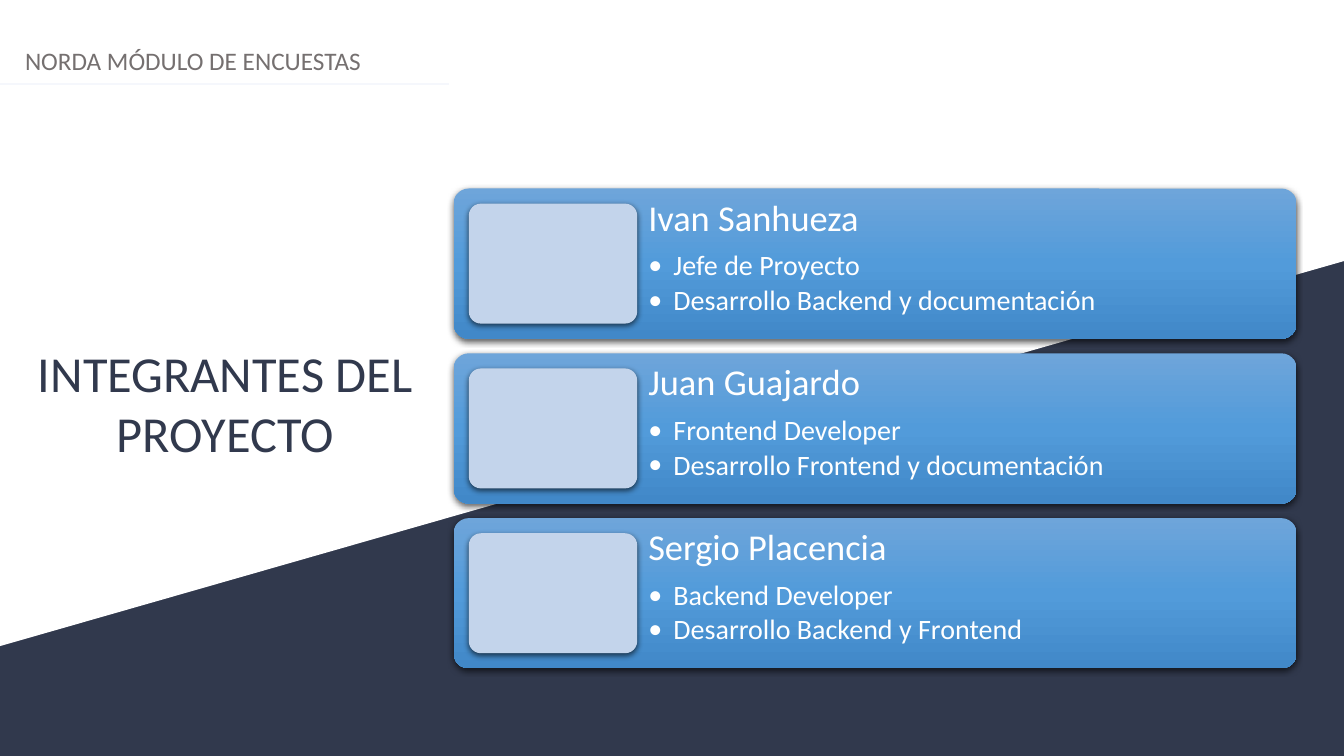
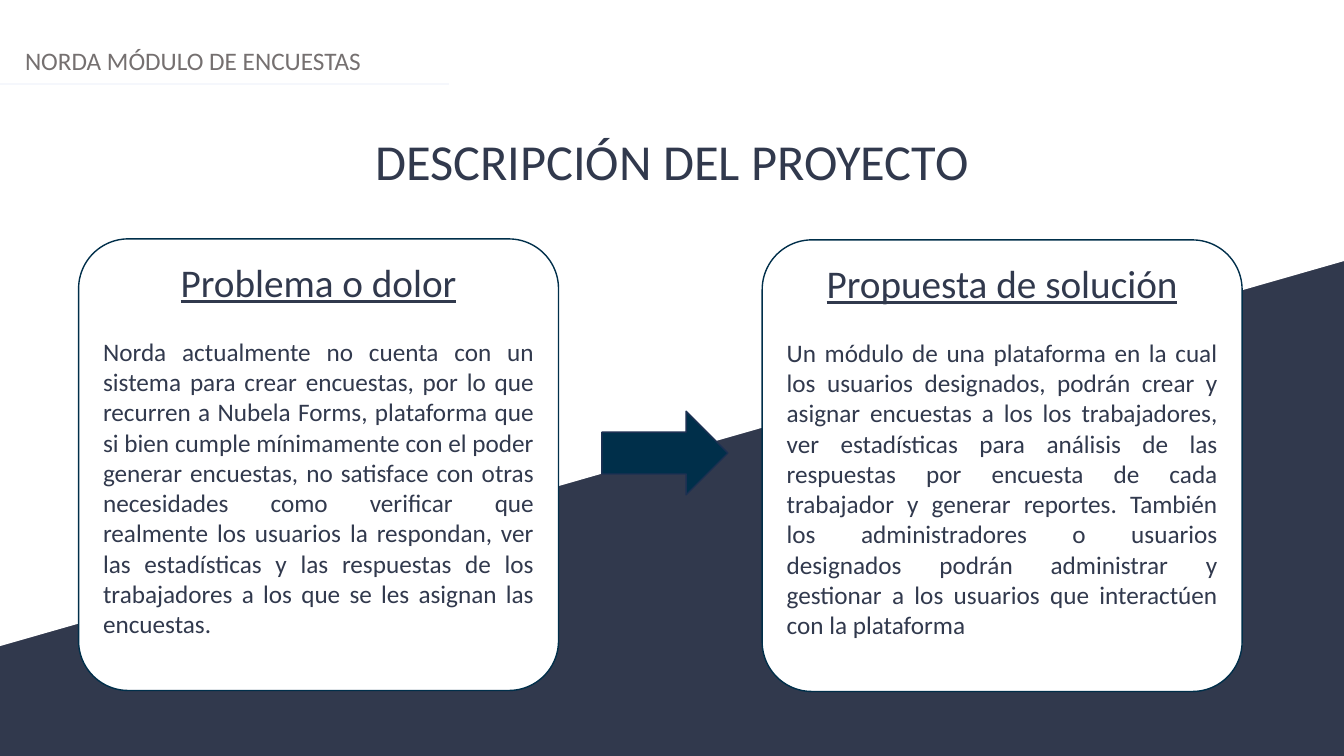
"""Build two project slides: the team members and the project description."""
import copy

import pptx
import pptx.dml.color
import pptx.enum.shapes
import pptx.enum.text
import pptx.oxml
import pptx.oxml.ns
import pptx.util

Inches = pptx.util.Inches
Pt = pptx.util.Pt
RGBColor = pptx.dml.color.RGBColor
SHAPE = pptx.enum.shapes.MSO_SHAPE
ALIGN = pptx.enum.text.PP_ALIGN
ANCHOR = pptx.enum.text.MSO_ANCHOR
qn = pptx.oxml.ns.qn

NAVY = RGBColor(0x31, 0x39, 0x4D)
WHITE = RGBColor(0xFF, 0xFF, 0xFF)
GREY = RGBColor(0x75, 0x70, 0x70)
RULE = RGBColor(0xF5, 0xF7, 0xFC)
PALE_BLUE = RGBColor(0xC3, 0xD4, 0xEB)
DEEP_BLUE = RGBColor(0x00, 0x2F, 0x4A)
ARROW_EDGE = RGBColor(0x1C, 0x30, 0x52)
CARD_STOPS = [
    (0, RGBColor(0x6E, 0xA5, 0xDA)),
    (0.5, RGBColor(0x52, 0x9B, 0xDA)),
    (1, RGBColor(0x41, 0x88, 0xC8)),
]

FONT = "Calibri"
WIDTH, HEIGHT = 13.33, 7.5
FIRST_CARD, LAST_CARD = 1.87, 5.14
HEADER = "NORDA MÓDULO DE ENCUESTAS"

MEMBERS = [
    ("Ivan Sanhueza", ["Jefe de Proyecto", "Desarrollo Backend y documentación"]),
    ("Juan Guajardo", ["Frontend Developer", "Desarrollo Frontend y documentación"]),
    ("Sergio Placencia", ["Backend Developer", "Desarrollo Backend y Frontend"]),
]
PROBLEM = (
    "Norda actualmente no cuenta con un sistema para crear encuestas, por lo que "
    "recurren a Nubela Forms, plataforma que si bien cumple mínimamente con el poder "
    "generar encuestas, no satisface con otras necesidades como verificar que realmente "
    "los usuarios la respondan, ver las estadísticas y las respuestas de los trabajadores "
    "a los que se les asignan las encuestas."
)
SOLUTION = (
    "Un módulo de una plataforma en la cual los usuarios designados, podrán crear y "
    "asignar encuestas a los los trabajadores, ver estadísticas para análisis de las "
    "respuestas por encuesta de cada trabajador y generar reportes. También los "
    "administradores o usuarios designados podrán administrar y gestionar a los usuarios "
    "que interactúen con la plataforma"
)


class Slides:
    """Hold the shared style and the current slide."""

    def __init__(self):
        self.deck = pptx.Presentation()
        self.deck.slide_width = Inches(WIDTH)
        self.deck.slide_height = Inches(HEIGHT)
        self.page = None

    def new_page(self):
        self.page = self.deck.slides.add_slide(self.deck.slide_layouts[6])
        background = self.page.background.fill
        background.solid()
        background.fore_color.rgb = NAVY
        outline = self.page.shapes.build_freeform(0, 0)
        corners = [(WIDTH, 0), (WIDTH, 2.59), (0, 6.41)]
        outline.add_line_segments([(Inches(x), Inches(y)) for x, y in corners])
        self.paint(outline.convert_to_shape(), WHITE)
        self.text(0.15, 0.4, 13, 0.4, HEADER, 18, GREY, ALIGN.LEFT)
        rule = self.page.shapes.add_connector(
            pptx.enum.shapes.MSO_CONNECTOR.STRAIGHT, 0, Inches(0.83), Inches(4.45), Inches(0.83)
        )
        rule.line.color.rgb = RULE
        rule.line.width = Pt(1.25)
        rule._element.spPr.append(self.element("<a:effectLst {}/>"))

    def element(self, markup):
        return pptx.oxml.parse_xml(markup.format(pptx.oxml.ns.nsdecls("a")))

    def paint(self, shape, fill, edge=None):
        shape.shadow.inherit = False
        shape.fill.solid()
        shape.fill.fore_color.rgb = fill
        if edge is None:
            shape.line.fill.background()
        else:
            shape.line.color.rgb = edge
            shape.line.width = Pt(1)

    def shape(self, kind, left, top, width, height, fill, edge=None, rounding=None):
        shape = self.page.shapes.add_shape(
            kind, Inches(left), Inches(top), Inches(width), Inches(height)
        )
        self.paint(shape, fill, edge)
        if rounding is not None:
            shape.adjustments[0] = rounding
        return shape

    def box(self, left, top, width, height):
        box = self.page.shapes.add_textbox(
            Inches(left), Inches(top), Inches(width), Inches(height)
        )
        box.text_frame.word_wrap = True
        return box.text_frame

    def paragraph(self, frame, text, size, color, align, first=False, underline=False):
        para = frame.paragraphs[0] if first else frame.add_paragraph()
        para.alignment = align
        span = para.add_run()
        span.text = text
        span.font.name = FONT
        span.font.size = Pt(size)
        span.font.color.rgb = color
        span.font.underline = underline
        return para

    def text(self, left, top, width, height, text, size, color, align):
        frame = self.box(left, top, width, height)
        self.paragraph(frame, text, size, color, align, first=True)

    def title(self, left, top, width, height, text):
        self.text(left, top, width, height, text, 36, NAVY, ALIGN.CENTER)

    def drop_shadow(self, shape):
        effects = shape._element.spPr.find(qn("a:effectLst"))
        effects.append(self.element(
            f'<a:outerShdw {{}} blurRad="{Pt(4.5)}" dist="{Pt(1.5)}" '
            'dir="5400000" algn="ctr" rotWithShape="0">'
            '<a:srgbClr val="000000"><a:alpha val="63000"/></a:srgbClr></a:outerShdw>'
        ))

    def card_gradient(self, shape):
        shape.fill.gradient()
        shape.fill.gradient_angle = 270
        stops = shape._element.spPr.find(".//" + qn("a:gsLst"))
        stops.append(copy.deepcopy(stops[0]))
        for stop, (position, color) in zip(shape.fill.gradient_stops, CARD_STOPS):
            stop.position = position
            stop.color.rgb = color

    def bullet(self, para):
        properties = para._p.get_or_add_pPr()
        properties.set("marL", str(Inches(0.25)))
        properties.set("indent", str(Inches(-0.25)))
        properties.append(self.element(f'<a:buFont {{}} typeface="{FONT}"/>'))
        properties.append(self.element('<a:buChar {} char="•"/>'))

    def member_card(self, top, name, roles):
        left, width, height, margin, photo_width = 4.5, 8.36, 1.49, 0.15, 1.67
        card = self.shape(
            SHAPE.ROUNDED_RECTANGLE, left, top, width, height, PALE_BLUE, rounding=0.1
        )
        self.card_gradient(card)
        photo = self.shape(
            SHAPE.ROUNDED_RECTANGLE, left + margin, top + margin,
            photo_width, height - 2 * margin, PALE_BLUE, rounding=0.1,
        )
        for shape in (card, photo):
            self.drop_shadow(shape)
        text_offset = margin + photo_width
        frame = self.box(left + text_offset, top, width - text_offset, height)
        frame.margin_left = frame.margin_right = Inches(0.11)
        frame.margin_top = frame.margin_bottom = Inches(0.11)
        heading = self.paragraph(frame, name, 26, WHITE, ALIGN.LEFT, first=True)
        heading.line_spacing = 0.9
        for index, role in enumerate(roles):
            para = self.paragraph(frame, role, 20, WHITE, ALIGN.LEFT)
            para.line_spacing = 0.9
            para.space_before = Pt(3 if index else 9.1)
            self.bullet(para)

    def panel(self, left, top, heading, body):
        panel = self.shape(
            SHAPE.ROUNDED_RECTANGLE, left, top, 4.76, 4.48, WHITE, DEEP_BLUE, rounding=0.11
        )
        frame = panel.text_frame
        frame.word_wrap = True
        frame.vertical_anchor = ANCHOR.MIDDLE
        frame.margin_bottom = Inches(0.37)
        self.paragraph(frame, heading, 28, NAVY, ALIGN.CENTER, first=True, underline=True)
        para = self.paragraph(frame, body, 18, NAVY, ALIGN.JUSTIFY)
        para.space_before = Pt(22)

    def arrow(self, left, top, width, height):
        self.shape(SHAPE.RIGHT_ARROW, left, top, width, height, DEEP_BLUE, ARROW_EDGE)


def main():
    slides = Slides()

    slides.new_page()
    slides.title(0.26, 3.34, 3.95, 1.31, "INTEGRANTES DEL PROYECTO")
    card_step = (LAST_CARD - FIRST_CARD) / (len(MEMBERS) - 1)
    for index, (name, roles) in enumerate(MEMBERS):
        slides.member_card(FIRST_CARD + card_step * index, name, roles)

    slides.new_page()
    slides.title(0, 1.24, WIDTH, 0.71, "DESCRIPCIÓN DEL PROYECTO")
    slides.panel(0.78, 2.37, "Problema o dolor", PROBLEM)
    slides.panel(7.56, 2.38, "Propuesta de solución", SOLUTION)
    slides.arrow(5.97, 4.08, 1.25, 0.83)

    slides.deck.save("out.pptx")


if __name__ == "__main__":
    main()
